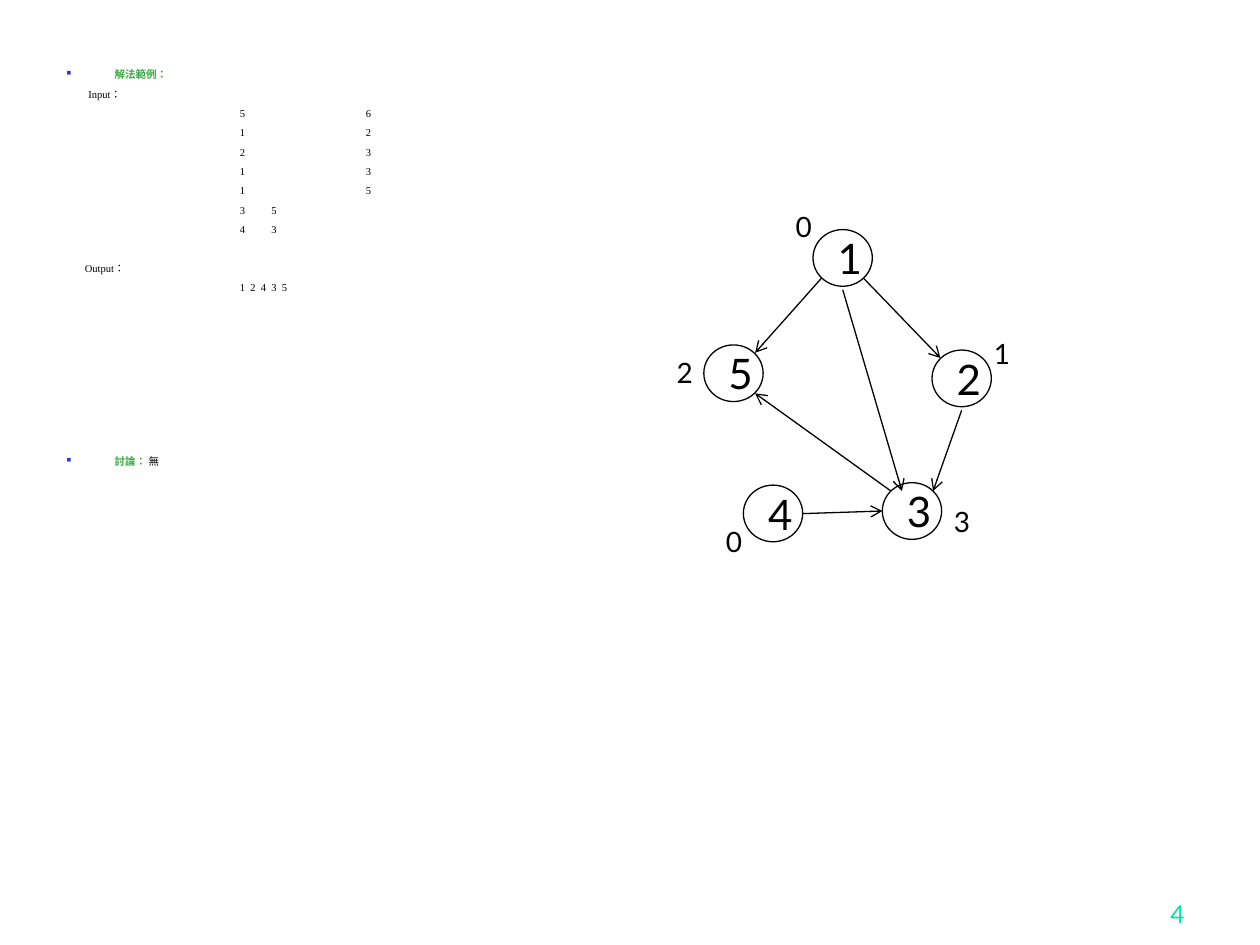
from lxml import etree
from pptx import Presentation
from pptx.dml.color import RGBColor
from pptx.enum.lang import MSO_LANGUAGE_ID as Language
from pptx.enum.shapes import MSO_CONNECTOR as Connector, MSO_SHAPE as Shape
from pptx.enum.text import MSO_ANCHOR as Anchor, PP_ALIGN as Align
from pptx.oxml.ns import qn
from pptx.util import Pt

COLORS = {"text": "000000", "heading": "3BA943", "bullet": "3333CC", "number": "00E4A8"}
SERIF, SANS = "Times New Roman", "Lato"

# Tab stops of the sample rows
WIDE, NARROW, SEQUENCE = (99, 171), (99, 117), (99, 105, 111, 117, 123)

# kind, text, left indent or tab stops, space before
LINES = [
    ("heading", "解法範例：", 27.4, 0),
    ("label", "Input：", 12.4, 6),
    ("row", "56", WIDE, 6),
    ("row", "12", WIDE, 6),
    ("row", "23", WIDE, 6),
    ("row", "13", WIDE, 6),
    ("row", "15", WIDE, 6),
    ("row", "35", NARROW, 6),
    ("row", "43", NARROW, 6),
    ("label", "Output：", 10.4, 17),
    ("row", "12435", SEQUENCE, 6),
    ("heading", "討論： ", 27.4, 94.5),
]
DISCUSSION = "無"

# node: circle corner, label, label corner
NODES = {
    "1": ((464.6, 131.2), "0", (447.5, 116.2)),
    "2": ((532.6, 200), "1", (560.8, 188.6)),
    "3": ((504.2, 275.8), "3", (538, 284.8)),
    "4": ((424.8, 277.2), "0", (407.7, 296)),
    "5": ((402.2, 197.1), "2", (379.6, 199.4)),
}
CIRCLE, DIGIT, LABEL = (33.9, 32.4), (19.4, 36), (22.3, 26.6)
DIGIT_OFFSET = (7, -1.8)

EDGES = [
    ((481.6, 165.6), (515.4, 280.6)),  # 1 to 3
    ((493.5, 159), (537.4, 204.6)),    # 1 to 2
    ((549.5, 234.5), (533.2, 280.6)),  # 2 to 3
    ((469.4, 159), (431.5, 201.6)),    # 1 to 5
    ((509.1, 280.6), (431.5, 224.8)),  # 3 to 5
    ((458.7, 293.5), (504.2, 292)),    # 4 to 3
]


def rgb(name):
    return RGBColor.from_string(COLORS[name])


def set_font(font, name, size, color, bold=False):
    font.name, font.size, font.bold = name, Pt(size), bold
    font.color.rgb = rgb(color)


def add_box(slide, corner, size):
    box = slide.shapes.add_textbox(*map(Pt, (*corner, *size)))
    box.text_frame.word_wrap = True
    return box.text_frame


def add_number(slide, text, corner, size, font_size, color="text", align=Align.CENTER):
    frame = add_box(slide, corner, size)
    paragraph = frame.paragraphs[0]
    paragraph.text = text
    paragraph.alignment = align
    set_font(paragraph.font, SANS, font_size, color)
    return frame


def add_child(parent, tag, **attributes):
    return etree.SubElement(parent, qn(tag), attributes)


def set_indent(properties, left, first=0):
    properties.set("marL", str(Pt(left)))
    properties.set("indent", str(Pt(first)))


def add_bullet(properties):
    color = add_child(properties, "a:buClr")
    add_child(color, "a:srgbClr", val=COLORS["bullet"])
    add_child(properties, "a:buSzPct", val="60000")
    add_child(properties, "a:buChar", char="■")


def add_tabs(properties, stops):
    tabs = add_child(properties, "a:tabLst")
    for stop in stops:
        add_child(tabs, "a:tab", pos=str(Pt(stop)), algn="l")


def add_chinese_run(paragraph, text):
    run = paragraph.add_run()
    run.text = text
    run.font.language_id = Language.TRADITIONAL_CHINESE
    return run


def add_lines(slide):
    frame = add_box(slide, (31, 37.4), (647.3, 442.8))
    for index, (kind, text, layout, space) in enumerate(LINES):
        paragraph = frame.add_paragraph() if index else frame.paragraphs[0]
        properties = paragraph._p.get_or_add_pPr()
        if kind == "row":  # an explicit indent would reset the tab stops
            add_tabs(properties, layout)
            text = "".join("\t" + value for value in text)
        elif kind == "heading":
            set_indent(properties, layout, -layout)
            add_bullet(properties)
        else:
            set_indent(properties, layout)
        paragraph.line_spacing = 0.7
        paragraph.space_before = Pt(space)
        add_chinese_run(paragraph, text)
        is_heading = kind == "heading"
        set_font(paragraph.font, SERIF, 6, "heading" if is_heading else "text", is_heading)
    answer = add_chinese_run(paragraph, DISCUSSION)
    set_font(answer.font, SANS, 6, "text")


def add_edge(slide, start, end):
    edge = slide.shapes.add_connector(Connector.STRAIGHT, *map(Pt, (*start, *end)))
    edge.line.color.rgb = rgb("text")
    edge.line.width = Pt(0.75)
    add_child(edge.line._get_or_add_ln(), "a:tailEnd", type="arrow")
    add_child(edge._element.spPr, "a:effectLst")


def add_node(slide, name, corner, label, label_corner):
    circle = slide.shapes.add_shape(Shape.OVAL, *map(Pt, (*corner, *CIRCLE)))
    circle.shadow.inherit = False
    circle.fill.background()
    circle.line.color.rgb = rgb("text")
    circle.line.width = Pt(0.75)
    digit_corner = [a + b for a, b in zip(corner, DIGIT_OFFSET)]
    add_number(slide, name, digit_corner, DIGIT, 24)
    add_number(slide, label, label_corner, LABEL, 16)


def main():
    presentation = Presentation()
    presentation.slide_width, presentation.slide_height = Pt(720), Pt(540)
    slide = presentation.slides.add_slide(presentation.slide_layouts[6])
    number = add_number(slide, "4", (534.2, 498.2), (149.8, 36), 14, "number", Align.RIGHT)
    number.vertical_anchor = Anchor.BOTTOM
    add_lines(slide)
    for name, node in NODES.items():
        add_node(slide, name, *node)
    for start, end in EDGES:
        add_edge(slide, start, end)
    presentation.save("out.pptx")


if __name__ == "__main__":
    main()
